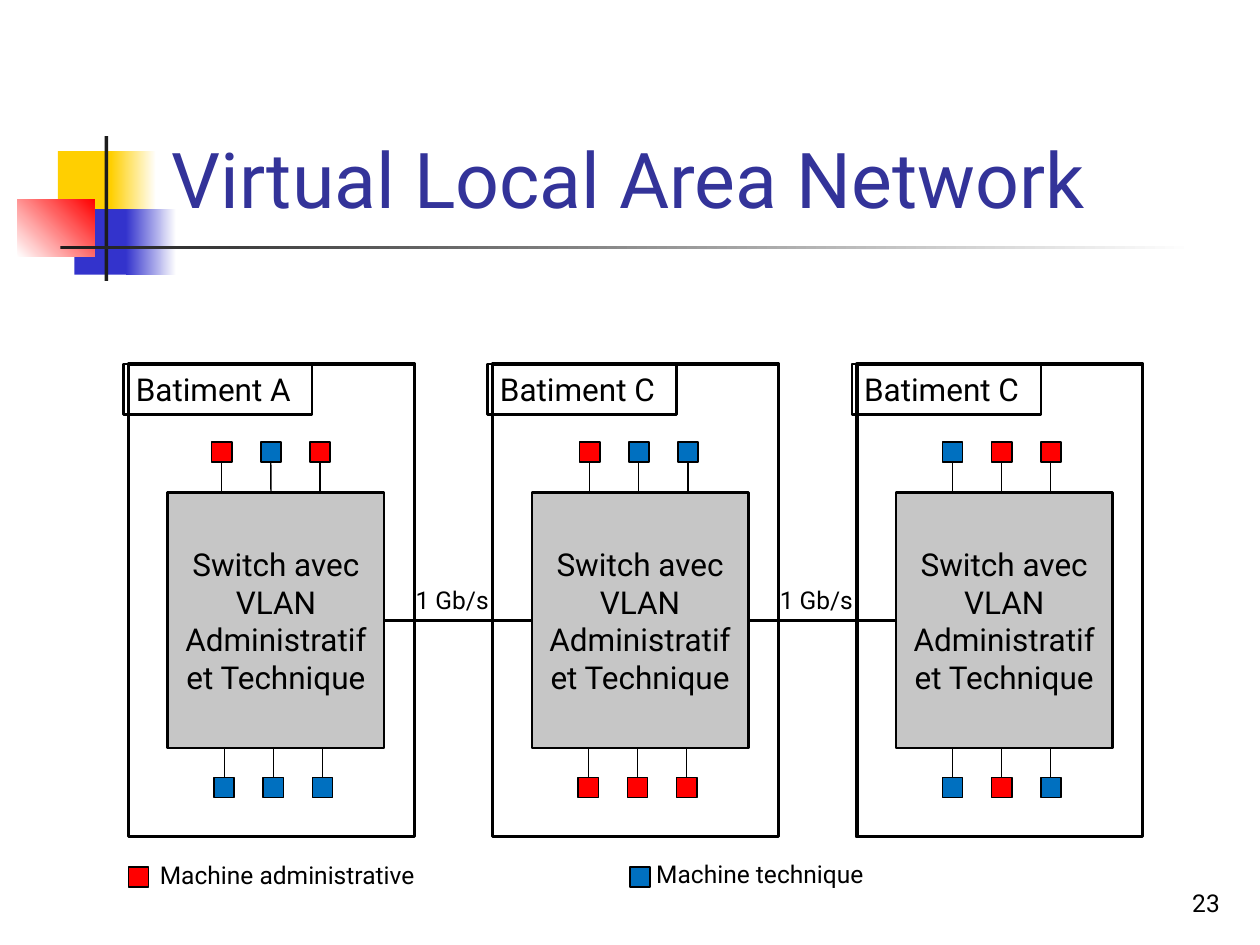
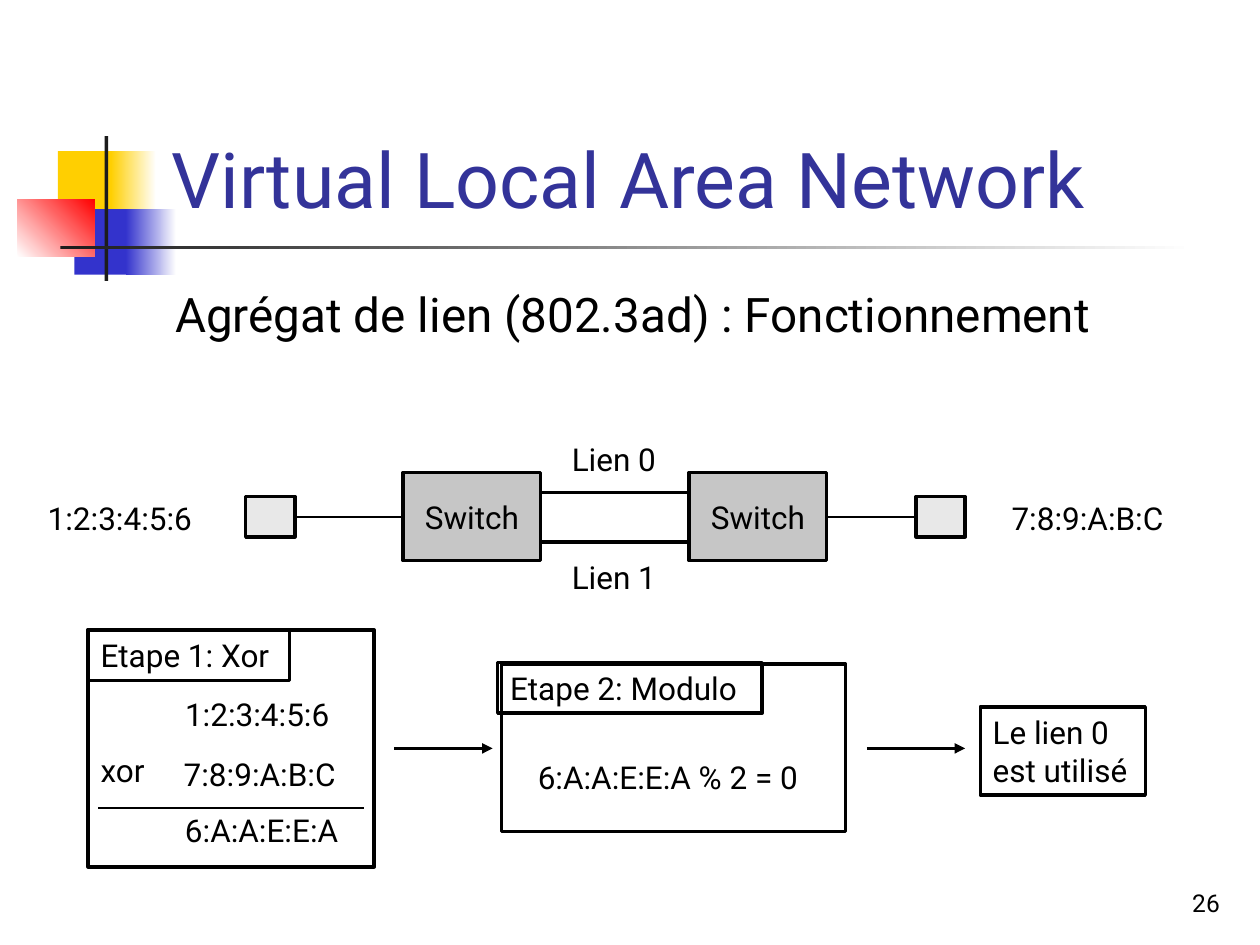
from pptx import Presentation
from pptx import util as u
from pptx.dml.color import RGBColor
from pptx.enum import shapes, text
from pptx.oxml.ns import qn
from pptx.shapes.autoshape import Shape
from lxml import etree

FONT = "Roboto"
BLACK, WHITE, GREY, PALE = "000000", "FFFFFF", "C6C6C6", "E8E8E8"
RED, BLUE, NAVY = "FF0000", "0070C0", "333399"
GOLD, INDIGO, INK = "FFCF01", "3333CC", "1C1C1C"
ALIGN, ANCHOR, FIT = text.PP_ALIGN, text.MSO_ANCHOR, text.MSO_AUTO_SIZE


def color(hex_code):
    return RGBColor.from_string(hex_code)


def put(item, **values):
    for key, value in values.items():
        setattr(item, key, value)


def inches(*sizes):
    return [u.Inches(size) for size in sizes]


class Deck:
    """Holds the style and the current slide."""

    def __init__(self):
        self.prs = Presentation()
        put(self.prs, slide_width=u.Inches(10), slide_height=u.Inches(7.5))
        self.slide = None

    def start(self, layout, title, number):
        self.slide = self.prs.slides.add_slide(self.prs.slide_layouts[layout])
        self.holder(self.slide.shapes.title, (1.26, 0.23, 8.52, 1.6), title,
                    44, NAVY, ANCHOR.BOTTOM)
        self.label(number, (7.7, 6.83, 2.08, 0.5), 14, align=ALIGN.RIGHT,
                   anchor=ANCHOR.BOTTOM, wrap=True)

    def letter(self, frame, words, size=18, tint=BLACK, align=ALIGN.LEFT,
               anchor=ANCHOR.TOP, wrap=False):
        put(frame, word_wrap=wrap, vertical_anchor=anchor,
            auto_size=FIT.NONE if wrap else FIT.SHAPE_TO_FIT_TEXT)
        for i, line in enumerate(words.split("\n")):
            part = frame.add_paragraph() if i else frame.paragraphs[0]
            run = part.add_run()
            run.text = line
            put(part, alignment=align, space_before=u.Pt(0))
            put(run.font, name=FONT, size=u.Pt(size))
            run.font.color.rgb = color(tint)

    def holder(self, shape, place, words, size, tint=BLACK, anchor=ANCHOR.TOP):
        put(shape, **dict(zip(("left", "top", "width", "height"), inches(*place))))
        self.letter(shape.text_frame, words, size, tint, anchor=anchor, wrap=True)

    def body(self, words):
        shape = self.slide.placeholders[1]
        self.holder(shape, (1.29, 2.21, 8.5, 0.68), words, 27.2)
        props = shape.text_frame.paragraphs[0]._p.get_or_add_pPr()
        props.set("marL", str(u.Inches(0.38)))
        props.set("indent", str(u.Inches(-0.38)))
        etree.SubElement(props, qn("a:buNone"))

    def label(self, words, place, size=18, **style):
        shape = self.slide.shapes.add_textbox(*inches(*place))
        self.letter(shape.text_frame, words, size, **style)

    def box(self, place, fill=None, line=2, words=None, **style):
        shape = self.slide.shapes.add_shape(shapes.MSO_SHAPE.RECTANGLE, *inches(*place))
        shape.shadow.inherit = False
        if fill:
            shape.fill.solid()
            shape.fill.fore_color.rgb = color(fill)
        else:
            shape.fill.background()
        if line:
            shape.line.color.rgb = color(BLACK)
            shape.line.width = u.Pt(line)
        else:
            shape.line.fill.background()
        if words:
            self.letter(shape.text_frame, words, **style)
        return shape

    def switch(self, place, words, line):
        return self.box(place, GREY, line, words, align=ALIGN.CENTER,
                        anchor=ANCHOR.MIDDLE, wrap=True)

    def fade(self, place, first, last, angle=0):
        shape = self.box(place, line=None)
        shape.fill.gradient()
        shape.fill.gradient_angle = angle
        for stop, tint in zip(shape.fill.gradient_stops, (first, last)):
            stop.color.rgb = color(tint)
        return shape

    def link(self, start, end, width=2, arrow=False):
        """Each end is a point (x, y) or a joint (shape, side)."""
        joints = [isinstance(tip[0], Shape) for tip in (start, end)]
        points = [(0, 0) if joint else tip for joint, tip in zip(joints, (start, end))]
        line = self.slide.shapes.add_connector(
            shapes.MSO_CONNECTOR.STRAIGHT, *inches(*points[0], *points[1]))
        if joints[0]:
            line.begin_connect(*start)
        if joints[1]:
            line.end_connect(*end)
        line.line.color.rgb = color(BLACK)
        line.line.width = u.Pt(width)
        props = line.element.spPr
        if arrow:
            etree.SubElement(props.find(qn("a:ln")), qn("a:tailEnd"), type="triangle")
        etree.SubElement(props, qn("a:effectLst"))

    def motif(self):
        """Draw the title ornament and move it to the master."""
        parts = [
            self.box((0.46, 1.2, 0.48, 0.52), GOLD, None),
            self.fade((0.88, 1.2, 0.36, 0.52), GOLD, WHITE),
            self.box((0.59, 1.66, 0.46, 0.52), INDIGO, None),
            self.fade((1, 1.66, 0.4, 0.52), INDIGO, WHITE),
            self.fade((0.14, 1.58, 0.61, 0.46), WHITE, RED, 45),
            self.box((0.83, 1.08, 0.03, 1.15), INK, None),
            self.fade((0.48, 1.95, 9, 0.03), INK, WHITE),
        ]
        tree = self.prs.slide_master.shapes.element
        for i, part in enumerate(parts):
            part.element.xpath(".//p:cNvPr")[0].set("id", str(100 + i))
            tree.insert(2 + i, part.element)


def draw_vlan(deck):
    deck.start(5, "Virtual Local Area Network", "23")
    deck.motif()
    tints = {"A": RED, "T": BLUE}
    pitch, side, step = 2.89, 0.16, 0.39

    # Buildings: name, then left edge and kinds of the upper and lower machines
    sites = [
        ("Batiment A", (1.68, "ATA"), (1.7, "TTT")),
        ("Batiment C", (4.6, "ATT"), (4.59, "AAA")),
        ("Batiment C", (7.48, "TAA"), (7.48, "TAT")),
    ]
    hubs = []
    for i, (name, upper, lower) in enumerate(sites):
        shift = i * pitch
        deck.box((1.02 + shift, 2.89, 2.27, 3.75))
        deck.box((0.98 + shift, 2.89, 1.5, 0.4), line=1.25, words=name)
        hubs.append(deck.switch((1.33 + shift, 3.91, 1.72, 2.03),
                                "Switch avec VLAN Administratif et Technique", 1.25))
        # Machines, each wired to the edge of the switch
        for (left, kinds), top, port, edge in ((upper, 3.51, 2, 3.91), (lower, 6.17, 0, 5.94)):
            for j, kind in enumerate(kinds):
                x = left + j * step
                node = deck.box((x, top, side, side), tints[kind], 1)
                deck.link((node, port), (x + side / 2, edge), 0.75)

    # Trunks between switches
    for i in range(2):
        deck.link((hubs[i], 3), (hubs[i + 1], 1))
        deck.label("1 Gb/s", (3.2 + i * pitch, 4.59, 0.79, 0.34), 14)

    # Legend
    for x, tint in ((1.02, RED), (5, BLUE)):
        deck.box((x, 6.88, side, side), tint, 1)
    deck.label("Machine administrative", (1.17, 6.78, 2.35, 0.34), 14)
    deck.label("Machine technique", (5.11, 6.77, 1.95, 0.34), 14)


def draw_links(deck):
    deck.start(1, "Virtual Local Area Network", "26")
    deck.body("Agrégat de lien (802.3ad) : Fonctionnement")
    source, target, total = "1:2:3:4:5:6", "7:8:9:A:B:C", "6:A:A:E:E:A"

    # Switches and hosts
    hubs = [deck.switch((x, 3.75, 1.09, 0.7), "Switch", 2) for x in (3.2, 5.47)]
    hosts = [deck.box((x, 3.94, 0.39, 0.32), PALE) for x in (1.95, 7.27)]
    deck.link((hosts[0], 3), (hubs[0], 1), 1.25)
    deck.link((hubs[1], 3), (hosts[1], 1), 1.25)
    deck.label(source, (0.28, 3.91, 1.39, 0.4))
    deck.label(target, (7.93, 3.91, 1.44, 0.4))

    # Twin links
    for name, y, top in (("Lien 0", 3.91, 3.44), ("Lien 1", 4.3, 4.38)):
        deck.link((4.29, y), (5.47, y))
        deck.label(name, (4.44, top, 0.9, 0.4))

    # Step 1
    deck.label(source, (1.37, 5.47, 1.39, 0.4))
    deck.label(target, (1.36, 5.94, 1.44, 0.4))
    deck.label(total, (1.37, 6.39, 1.43, 0.4))
    deck.label("xor", (0.7, 5.91, 0.58, 0.4))
    deck.link((0.78, 6.41), (2.89, 6.41), 1.25)
    deck.box((0.7, 5, 1.6, 0.4), words="Etape 1: Xor")
    deck.box((0.7, 5, 2.27, 1.88))

    # Step 2
    deck.label(total + " % 2 = 0", (4.17, 5.97, 2.33, 0.4))
    deck.box((3.95, 5.26, 2.1, 0.4), words="Etape 2: Modulo")
    deck.box((3.98, 5.27, 2.73, 1.33))

    # Result and arrows
    deck.box((7.78, 5.61, 1.31, 0.7), words="Le lien 0\nest utilisé")
    for x in (3.13, 6.88):
        deck.link((x, 5.94), (x + 0.78, 5.94), arrow=True)


def main():
    deck = Deck()
    draw_vlan(deck)
    draw_links(deck)
    deck.prs.save("out.pptx")


if __name__ == "__main__":
    main()
